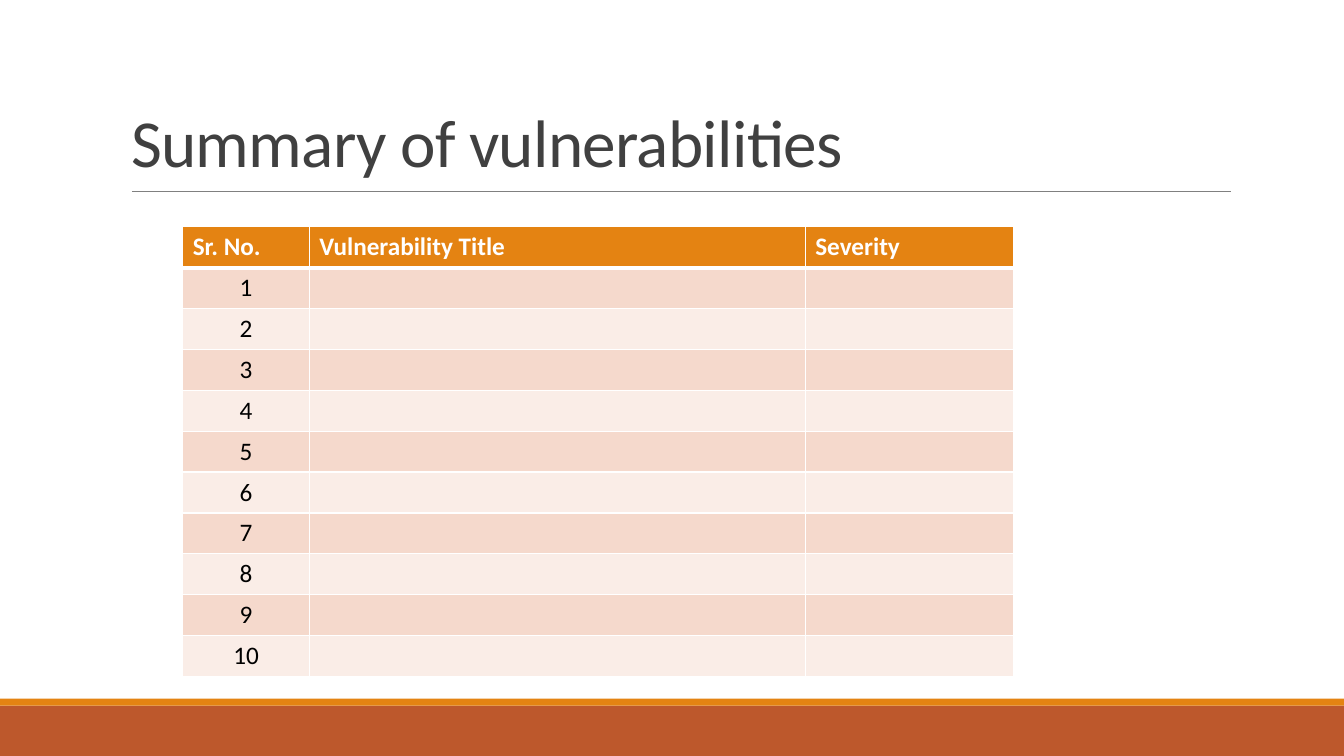
"""Build the slide that sums up vulnerabilities in a table."""
from dataclasses import dataclass

from lxml.etree import SubElement
from pptx import Presentation
from pptx.dml.color import RGBColor
from pptx.enum.shapes import MSO_CONNECTOR, MSO_SHAPE
from pptx.enum.text import MSO_ANCHOR, MSO_AUTO_SIZE, PP_ALIGN
from pptx.oxml import parse_xml
from pptx.oxml.ns import nsdecls, qn
from pptx.slide import Slide
from pptx.table import _Cell as Cell
from pptx.text.text import _Paragraph as Para, _Run as Run
from pptx.util import Pt

WHITE = RGBColor(0xFF, 0xFF, 0xFF)
BLACK = RGBColor(0, 0, 0)
DARK = RGBColor(0x40, 0x40, 0x40)
GRAY = RGBColor(0x80, 0x80, 0x80)
ORANGE = RGBColor(0xE4, 0x83, 0x12)
RUST = RGBColor(0xBD, 0x58, 0x2C)
ROSE = RGBColor(0xF5, 0xD9, 0xCC)
PALE = RGBColor(0xFA, 0xED, 0xE7)
FONT = "Calibri"
WIDE, HIGH = 960, 540
ROW = 29.2
COUNT = 10


@dataclass(frozen=True)
class Band:
    top: float
    height: float
    color: RGBColor


@dataclass(frozen=True)
class Column:
    head: str
    width: float


BANDS = (Band(504, 36, RUST), Band(499, 5, ORANGE))
COLUMNS = (
    Column("Sr. No.", 90.5),
    Column("Vulnerability Title", 354.2),
    Column("Severity", 149),
)


def add_run(para: Para, text: str, size: float, color: RGBColor, bold: bool = False) -> Run:
    run = para.add_run()
    run.text = text
    font = run.font
    font.name, font.size, font.bold = FONT, Pt(size), bold
    font.color.rgb = color
    return run


def add_band(slide: Slide, band: Band) -> None:
    shape = slide.shapes.add_shape(
        MSO_SHAPE.RECTANGLE, Pt(0), Pt(band.top), Pt(WIDE), Pt(band.height))
    shape.shadow.inherit = False
    shape.fill.solid()
    shape.fill.fore_color.rgb = band.color
    shape.line.fill.background()


def add_rule(slide: Slide) -> None:
    rule = slide.shapes.add_connector(
        MSO_CONNECTOR.STRAIGHT, Pt(94.3), Pt(136.8), Pt(879.1), Pt(136.8))
    rule.line.color.rgb = GRAY
    rule.line.width = Pt(0.5)
    SubElement(rule._element.spPr, qn("a:effectLst"))


def set_title(slide: Slide) -> None:
    title = slide.shapes.title
    title.left, title.top = Pt(86.4), Pt(61.2)
    title.width, title.height = Pt(792), Pt(72)
    frame = title.text_frame
    frame.word_wrap = True
    frame.auto_size = MSO_AUTO_SIZE.NONE
    frame.vertical_anchor = MSO_ANCHOR.BOTTOM
    para = frame.paragraphs[0]
    para.alignment = PP_ALIGN.LEFT
    para.line_spacing = 0.85
    run = add_run(para, "Summary of vulnerabilities", 48, DARK)
    run.font._element.set("spc", "-50")


def style_cell(cell: Cell, color: RGBColor, upper: float, lower: float) -> None:
    cell.fill.solid()
    cell.fill.fore_color.rgb = color
    props = cell._tc.get_or_add_tcPr()
    edges = {"lnL": 1, "lnR": 1, "lnT": upper, "lnB": lower}
    for place, (tag, width) in enumerate(edges.items()):
        props.insert(place, parse_xml(
            f'<a:{tag} {nsdecls("a")} w="{Pt(width)}"><a:solidFill>'
            f'<a:srgbClr val="{WHITE}"/></a:solidFill></a:{tag}>'))


def add_grid(slide: Slide) -> None:
    width = sum(col.width for col in COLUMNS)
    frame = slide.shapes.add_table(
        COUNT + 1, len(COLUMNS), Pt(130.5), Pt(162), Pt(width), Pt(ROW * (COUNT + 1)))
    table = frame.table
    for row in table.rows:
        row.height = Pt(ROW)
    for place, col in enumerate(COLUMNS):
        table.columns[place].width = Pt(col.width)
        head = table.cell(0, place)
        style_cell(head, ORANGE, 1, 3)
        add_run(head.text_frame.paragraphs[0], col.head, 18, WHITE, True)
        for row in range(1, COUNT + 1):
            style_cell(table.cell(row, place), ROSE if row % 2 else PALE,
                       3 if row == 1 else 1, 1)
    for row in range(1, COUNT + 1):
        para = table.cell(row, 0).text_frame.paragraphs[0]
        para.alignment = PP_ALIGN.CENTER
        add_run(para, str(row), 18, BLACK)


def main() -> None:
    deck = Presentation()
    deck.slide_width, deck.slide_height = Pt(WIDE), Pt(HIGH)
    slide = deck.slides.add_slide(deck.slide_layouts[5])
    for band in BANDS:
        add_band(slide, band)
    add_rule(slide)
    set_title(slide)
    add_grid(slide)
    deck.save("out.pptx")


if __name__ == "__main__":
    main()
